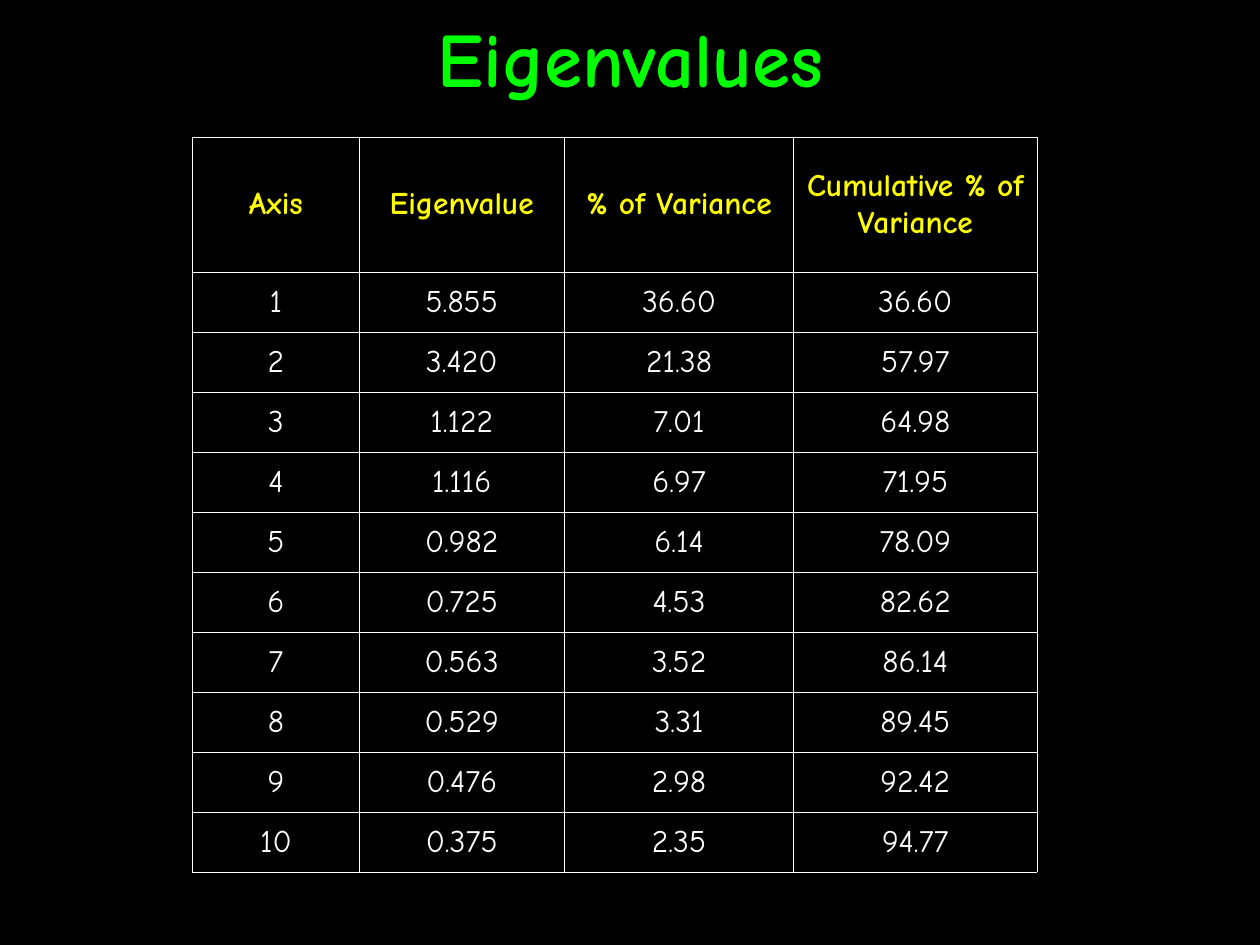
"""Build a slide with a table of eigenvalues and explained variance."""
from lxml.etree import SubElement
from pptx import Presentation
from pptx.dml.color import RGBColor
from pptx.enum.text import MSO_ANCHOR, PP_ALIGN
from pptx.oxml.ns import qn
from pptx.util import Inches, Pt

TITLE = "Eigenvalues"
HEADERS = ("Axis", "Eigenvalue", "% of Variance", "Cumulative % of Variance")
ROWS = [
    ("1", "5.855", "36.60", "36.60"),
    ("2", "3.420", "21.38", "57.97"),
    ("3", "1.122", "7.01", "64.98"),
    ("4", "1.116", "6.97", "71.95"),
    ("5", "0.982", "6.14", "78.09"),
    ("6", "0.725", "4.53", "82.62"),
    ("7", "0.563", "3.52", "86.14"),
    ("8", "0.529", "3.31", "89.45"),
    ("9", "0.476", "2.98", "92.42"),
    ("10", "0.375", "2.35", "94.77"),
]

FONT = "Comic Neue"
BLACK = RGBColor(0x00, 0x00, 0x00)
WHITE = RGBColor(0xFF, 0xFF, 0xFF)
YELLOW = RGBColor(0xFF, 0xFF, 0x00)
GREEN = RGBColor(0x00, 0xFF, 0x00)

COLUMN_WIDTHS = (1.32, 1.63, 1.82, 1.93)
TABLE_LEFT, TABLE_TOP, TABLE_HEIGHT = 1.53, 1.09, 5.83
HEADER_HEIGHT = 1.07
ROW_HEIGHT = (TABLE_HEIGHT - HEADER_HEIGHT) / len(ROWS)
BORDER_WIDTH = Pt(0.45)


def format_text(text_frame, size, color, bold):
    paragraph = text_frame.paragraphs[0]
    paragraph.alignment = PP_ALIGN.CENTER
    paragraph.font.name = FONT
    paragraph.font.size = Pt(size)
    paragraph.font.bold = bold
    paragraph.font.color.rgb = color


def add_borders(cell, color):
    properties = cell._tc.get_or_add_tcPr()
    for side in ("lnL", "lnR", "lnT", "lnB"):
        line = SubElement(properties, qn(f"a:{side}"), w=str(BORDER_WIDTH))
        fill = SubElement(line, qn("a:solidFill"))
        SubElement(fill, qn("a:srgbClr"), val=str(color))


def add_title(slide):
    title = slide.shapes.title
    title.left, title.top = Inches(0.1), Inches(-0.01)
    title.width, title.height = Inches(9.81), Inches(0.92)
    title.text_frame.text = TITLE
    title.text_frame.vertical_anchor = MSO_ANCHOR.MIDDLE
    format_text(title.text_frame, 44, GREEN, True)


def add_eigenvalue_table(slide):
    table = slide.shapes.add_table(
        len(ROWS) + 1, len(HEADERS), Inches(TABLE_LEFT), Inches(TABLE_TOP),
        Inches(sum(COLUMN_WIDTHS)), Inches(TABLE_HEIGHT)).table
    table.horz_banding = False
    for column, width in zip(table.columns, COLUMN_WIDTHS):
        column.width = Inches(width)
    for index, values in enumerate([HEADERS, *ROWS]):
        is_header = index == 0
        table.rows[index].height = Inches(HEADER_HEIGHT if is_header else ROW_HEIGHT)
        for cell, value in zip(table.rows[index].cells, values):
            cell.text = value
            cell.vertical_anchor = MSO_ANCHOR.MIDDLE
            add_borders(cell, WHITE)
            cell.fill.background()
            format_text(cell.text_frame, 18, YELLOW if is_header else WHITE, is_header)


def main():
    presentation = Presentation()
    presentation.slide_width, presentation.slide_height = Inches(10), Inches(7.5)
    slide = presentation.slides.add_slide(presentation.slide_layouts[5])
    slide.background.fill.solid()
    slide.background.fill.fore_color.rgb = BLACK
    add_eigenvalue_table(slide)
    add_title(slide)
    presentation.save("out.pptx")


if __name__ == "__main__":
    main()
